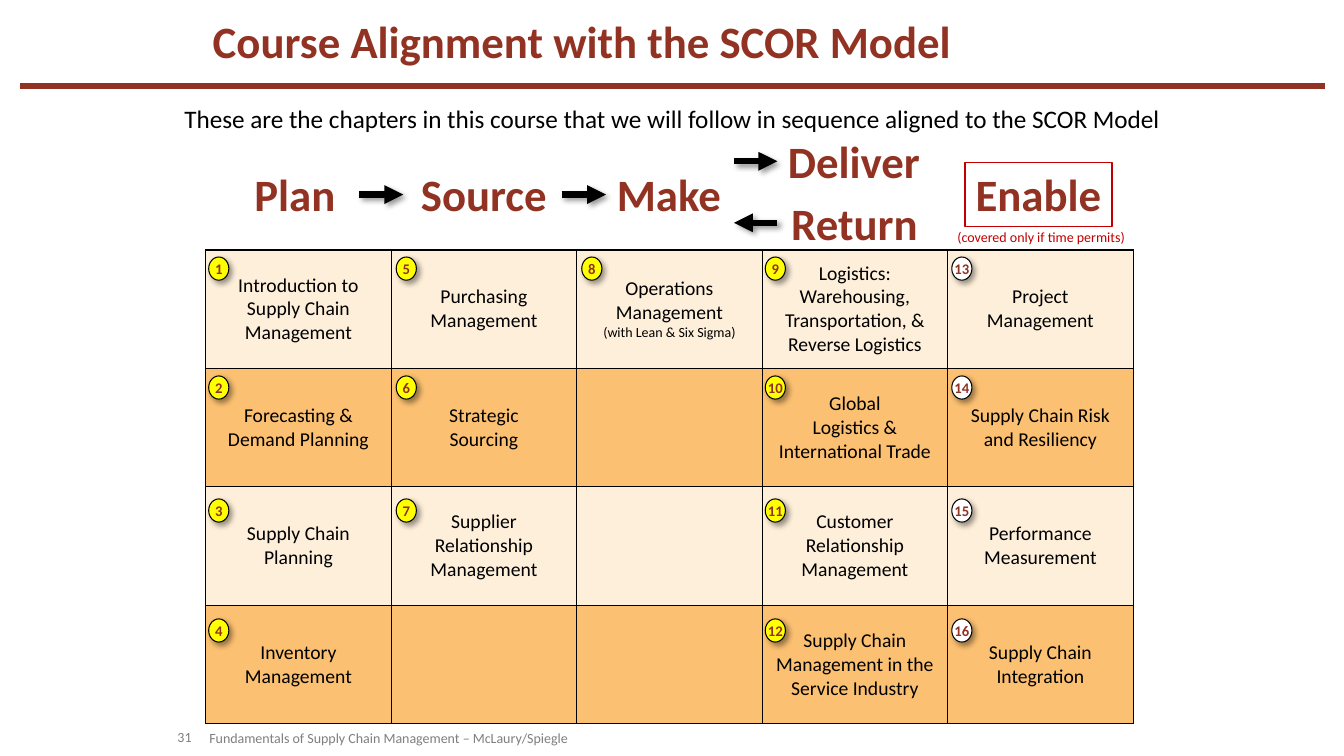
from lxml.etree import SubElement
from pptx import Presentation
from pptx.dml.color import RGBColor
from pptx.enum.shapes import MSO_CONNECTOR, MSO_SHAPE
from pptx.enum.text import MSO_ANCHOR, MSO_AUTO_SIZE, PP_ALIGN
from pptx.oxml.ns import qn
from pptx.util import Emu, Pt

RUST, RED, BLACK, GREY = "923222", "C00000", "000000", "7F7F7F"
CREAM, ORANGE, YELLOW, WHITE = "FEEFDA", "FBC071", "FFFF00", "FFFFFF"

CHAPTERS = [
    ["Introduction to Supply Chain Management", "Purchasing Management",
     "Operations\nManagement\n(with Lean & Six Sigma)",
     "Logistics: Warehousing, Transportation, & Reverse Logistics", "Project Management"],
    ["Forecasting &\nDemand Planning", "Strategic\nSourcing", "",
     "Global\nLogistics & International Trade", "Supply Chain Risk and Resiliency"],
    ["Supply Chain Planning", "Supplier Relationship\nManagement", "",
     "Customer Relationship\nManagement", "Performance Measurement"],
    ["Inventory\nManagement", "", "",
     "Supply Chain Management in the Service Industry", "Supply Chain Integration"],
]
BADGE_LEFTS = [207, 393, 577, 759, 944]
BADGE_TOPS = [255, 373, 495, 614]
STAGES = [("Plan", 242, 161, 101), ("Source", 407, 161, 146), ("Make", 601, 161, 125),
          ("Deliver", 771, 128, 152), ("Return", 774, 189, 147)]
ARROWS = [(356, 400, 193), (557, 601, 193), (728, 771, 160), (771, 728, 221)]


def px(n):
    return Emu(n * 9144)


def rgb(color):
    return RGBColor.from_string(color)


class Deck:
    font = "Calibri"

    def __init__(self, prs):
        self.s = prs.slides.add_slide(prs.slide_layouts[5])

    def set_text(self, tf, text, size, color=BLACK, bold=False, align=PP_ALIGN.CENTER):
        tf.text = text
        for p in tf.paragraphs:
            p.alignment = align
            for r in p.runs:
                r.font.name = self.font
                r.font.size = Pt(size)
                r.font.bold = bold
                r.font.color.rgb = rgb(color)

    def place(self, sp, left, top, width, height):
        sp.left, sp.top, sp.width, sp.height = map(px, (left, top, width, height))

    def title(self, text, *box):
        sp = self.s.shapes.title
        self.place(sp, *box)
        tf = sp.text_frame
        self.set_text(tf, text, 32, RUST, True, PP_ALIGN.LEFT)
        tf.vertical_anchor = MSO_ANCHOR.BOTTOM
        tf.auto_size = MSO_AUTO_SIZE.SHAPE_TO_FIT_TEXT
        tf.paragraphs[0].line_spacing = 0.8

    def text(self, text, box, size, color=BLACK, bold=False, wrap=False):
        sp = self.s.shapes.add_textbox(*map(px, box))
        tf = sp.text_frame
        self.set_text(tf, text, size, color, bold)
        tf.word_wrap = wrap
        tf.auto_size = MSO_AUTO_SIZE.SHAPE_TO_FIT_TEXT
        return sp

    def footer(self, text, box, align):
        tf = self.s.shapes.add_textbox(*map(px, box)).text_frame
        self.set_text(tf, text, 10, GREY, align=align)
        self.tighten(tf)
        tf.word_wrap = True

    def tighten(self, tf):
        tf.margin_left = tf.margin_right = tf.margin_top = tf.margin_bottom = 0
        tf.vertical_anchor = MSO_ANCHOR.MIDDLE

    def cast_shadow(self, effects):
        shadow = SubElement(effects, qn("a:outerShdw"), blurRad=str(Pt(4)),
                            dist=str(Pt(3)), dir="2700000", algn="tl", rotWithShape="0")
        color = SubElement(shadow, qn("a:srgbClr"), val=BLACK)
        SubElement(color, qn("a:alpha"), val="40000")

    def line(self, x1, x2, y, color, arrow=False):
        c = self.s.shapes.add_connector(MSO_CONNECTOR.STRAIGHT, px(x1), px(y), px(x2), px(y))
        c.line.color.rgb = rgb(color)
        c.line.width = Pt(4.5)
        sp_pr = c._element.spPr
        effects = SubElement(sp_pr, qn("a:effectLst"))
        if arrow:
            SubElement(sp_pr.find(qn("a:ln")), qn("a:tailEnd"), type="triangle")
            self.cast_shadow(effects)

    def badge(self, number, left, top, fill):
        sp = self.s.shapes.add_shape(MSO_SHAPE.OVAL, px(left), px(top), px(20), px(23))
        sp.fill.solid()
        sp.fill.fore_color.rgb = rgb(fill)
        sp.line.color.rgb = rgb(BLACK)
        sp.line.width = Pt(0.75)
        sp.shadow.inherit = False
        self.cast_shadow(sp._element.spPr.find(qn("a:effectLst")))
        tf = sp.text_frame
        self.set_text(tf, str(number), 10.5, RUST, True)
        self.tighten(tf)
        tf.word_wrap = False

    def table(self, rows, box, fills):
        frame = self.s.shapes.add_table(len(rows), len(rows[0]), *map(px, box))
        frame.table.first_row = False
        for i, row in enumerate(rows):
            for j, text in enumerate(row):
                self.cell(frame.table.cell(i, j), text, fills[i % 2])

    def cell(self, cell, text, fill):
        self.set_text(cell.text_frame, text, 14)
        for p in cell.text_frame.paragraphs:
            if p.text.startswith("("):
                p.runs[0].font.size = Pt(10)
        cell.vertical_anchor = MSO_ANCHOR.MIDDLE
        tc_pr = cell._tc.get_or_add_tcPr()
        for side in ("lnL", "lnR", "lnT", "lnB"):
            ln = SubElement(tc_pr, qn("a:" + side), w=str(Pt(1)))
            SubElement(SubElement(ln, qn("a:solidFill")), qn("a:srgbClr"), val=BLACK)
        cell.fill.solid()
        cell.fill.fore_color.rgb = rgb(fill)


def main():
    prs = Presentation()
    prs.slide_width, prs.slide_height = px(1333), px(750)
    deck = Deck(prs)
    deck.line(20, 1314, 85, RUST)
    deck.title("Course Alignment with the SCOR Model", 201, 18, 923, 54)
    deck.text("These are the chapters in this course that we will follow in sequence "
              "aligned to the SCOR Model", (167, 98, 1000, 40), 18, wrap=True)
    deck.table(CHAPTERS, (204, 248, 920, 470), (CREAM, ORANGE))

    for name, left, top, width in STAGES:
        deck.text(name, (left, top, width, 64), 32, RUST, True)
    enable = deck.text("Enable", (957, 161, 146, 64), 32, RUST, True)
    enable.line.color.rgb = rgb(RED)
    enable.line.width = Pt(1)
    deck.text("(covered only if time permits)", (938, 222, 189, 27), 10, RED)
    for x1, x2, y in ARROWS:
        deck.line(x1, x2, y, BLACK, arrow=True)

    number = 0
    for j, left in enumerate(BADGE_LEFTS):
        for i, top in enumerate(BADGE_TOPS):
            if CHAPTERS[i][j]:
                number += 1
                deck.badge(number, left, top, WHITE if j == 4 else YELLOW)

    deck.footer("Fundamentals of Supply Chain Management – McLaury/Spiegle",
                (198, 723, 365, 19), PP_ALIGN.RIGHT)
    deck.footer("31", (176, 722, 21, 19), PP_ALIGN.LEFT)
    prs.save("out.pptx")


if __name__ == "__main__":
    main()
